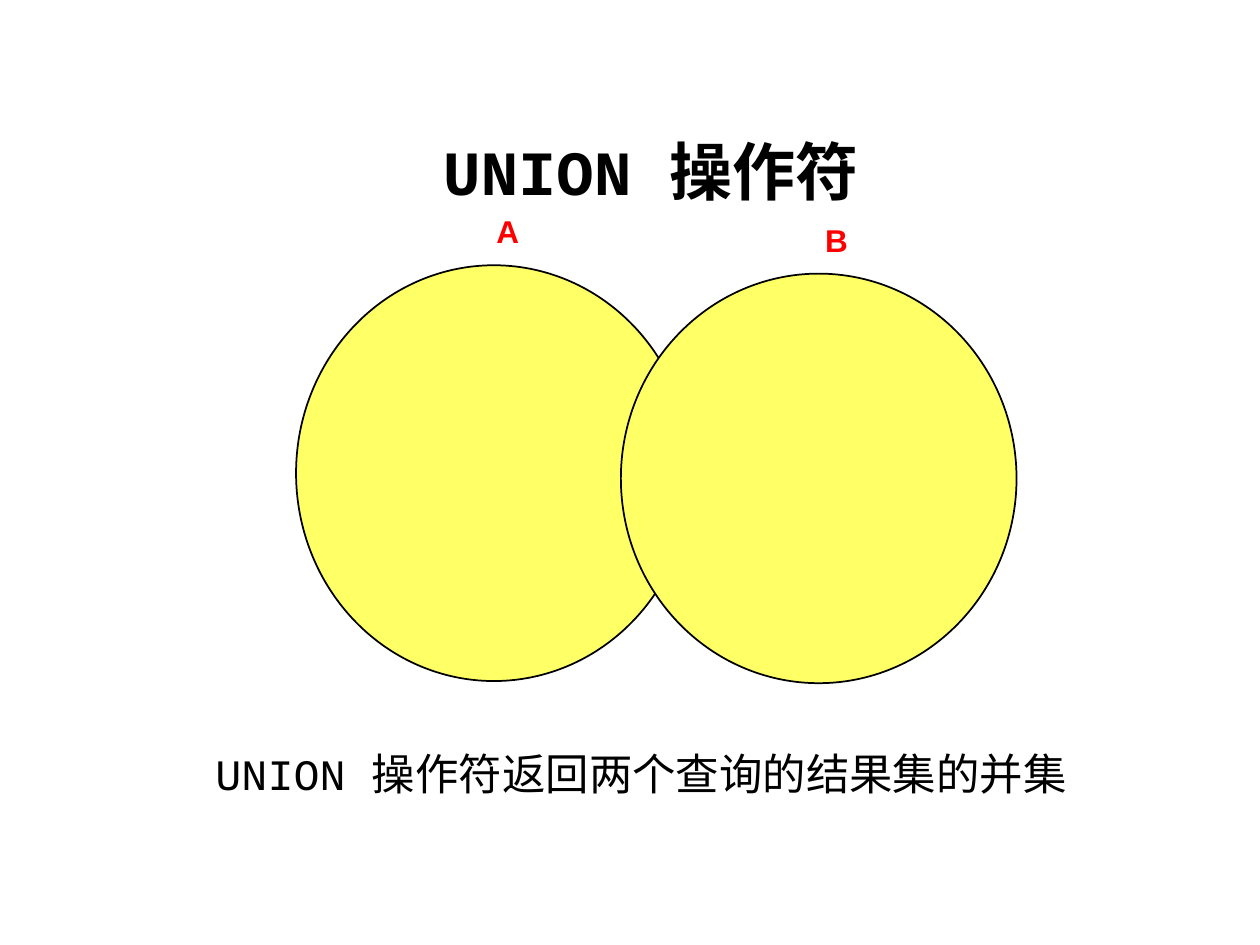
import pptx
import pptx.dml.color
import pptx.enum.shapes
import pptx.enum.text
import pptx.util
import lxml.etree

Pt = pptx.util.Pt
ALIGN = pptx.enum.text.PP_ALIGN
ANCHOR = pptx.enum.text.MSO_ANCHOR
FIT = pptx.enum.text.MSO_AUTO_SIZE
BLACK, RED, YELLOW = "000000", "FF0000", "FFFF66"


def colour(value):
    return pptx.dml.color.RGBColor.from_string(value)


def add_run(paragraph, text, font, size, ink, bold=False):
    run = paragraph.add_run()
    run.text = text
    run.font.name = font
    run.font.size = Pt(size)
    run.font.bold = bold
    run.font.color.rgb = colour(ink)


def fill_placeholder(holder, box, runs, size, align, bold=False):
    holder.left, holder.top, holder.width, holder.height = map(Pt, box)
    frame = holder.text_frame
    frame.word_wrap = True
    frame.auto_size = FIT.NONE
    frame.vertical_anchor = ANCHOR.TOP
    paragraph = frame.paragraphs[0]
    paragraph.alignment = align
    paragraph.space_before = Pt(0)
    for text, font in runs:
        add_run(paragraph, text, font, size, BLACK, bold)
    return paragraph


def hang_without_bullet(paragraph, indent):
    properties = paragraph._p.get_or_add_pPr()
    properties.set("marL", str(Pt(indent)))
    properties.set("indent", str(Pt(-indent)))
    lxml.etree.SubElement(properties, pptx.oxml.ns.qn("a:buNone"))


def add_set(slide, box):
    ellipse = slide.shapes.add_shape(
        pptx.enum.shapes.MSO_SHAPE.OVAL, *map(Pt, box))
    ellipse.shadow.inherit = False
    ellipse.fill.solid()
    ellipse.fill.fore_color.rgb = colour(YELLOW)
    ellipse.line.color.rgb = colour(BLACK)
    ellipse.line.width = Pt(1)


def add_label(slide, text, left, top):
    label = slide.shapes.add_textbox(Pt(left), Pt(top), Pt(27.4), Pt(28.8))
    label.text_frame.word_wrap = False
    label.text_frame.auto_size = FIT.SHAPE_TO_FIT_TEXT
    add_run(label.text_frame.paragraphs[0], text, "Arial", 18, RED, True)


def main():
    deck = pptx.Presentation()
    deck.slide_width, deck.slide_height = Pt(720), Pt(540)
    slide = deck.slides.add_slide(deck.slide_layouts[1])
    title, body = slide.placeholders
    fill_placeholder(
        title, (134.6, 72, 474.5, 68.4),
        [("UNION ", "Courier New"), ("操作符", "Calibri")],
        36, ALIGN.CENTER, True)
    summary = fill_placeholder(
        body, (115.9, 423.4, 511.9, 34.6),
        [("UNION ", "Courier New"),
         ("操作符返回两个查询的结果集的并集", "Calibri")],
        24.8, ALIGN.LEFT)
    hang_without_bullet(summary, 27)
    for name, set_box, label_at in (
        ("A", (169.2, 151.6, 226.1, 237.6), (276.5, 117.4)),
        ("B", (354.8, 156.4, 226.1, 234), (464.4, 122.6)),
    ):
        add_set(slide, set_box)
        add_label(slide, name, *label_at)
    deck.save("out.pptx")


main()
